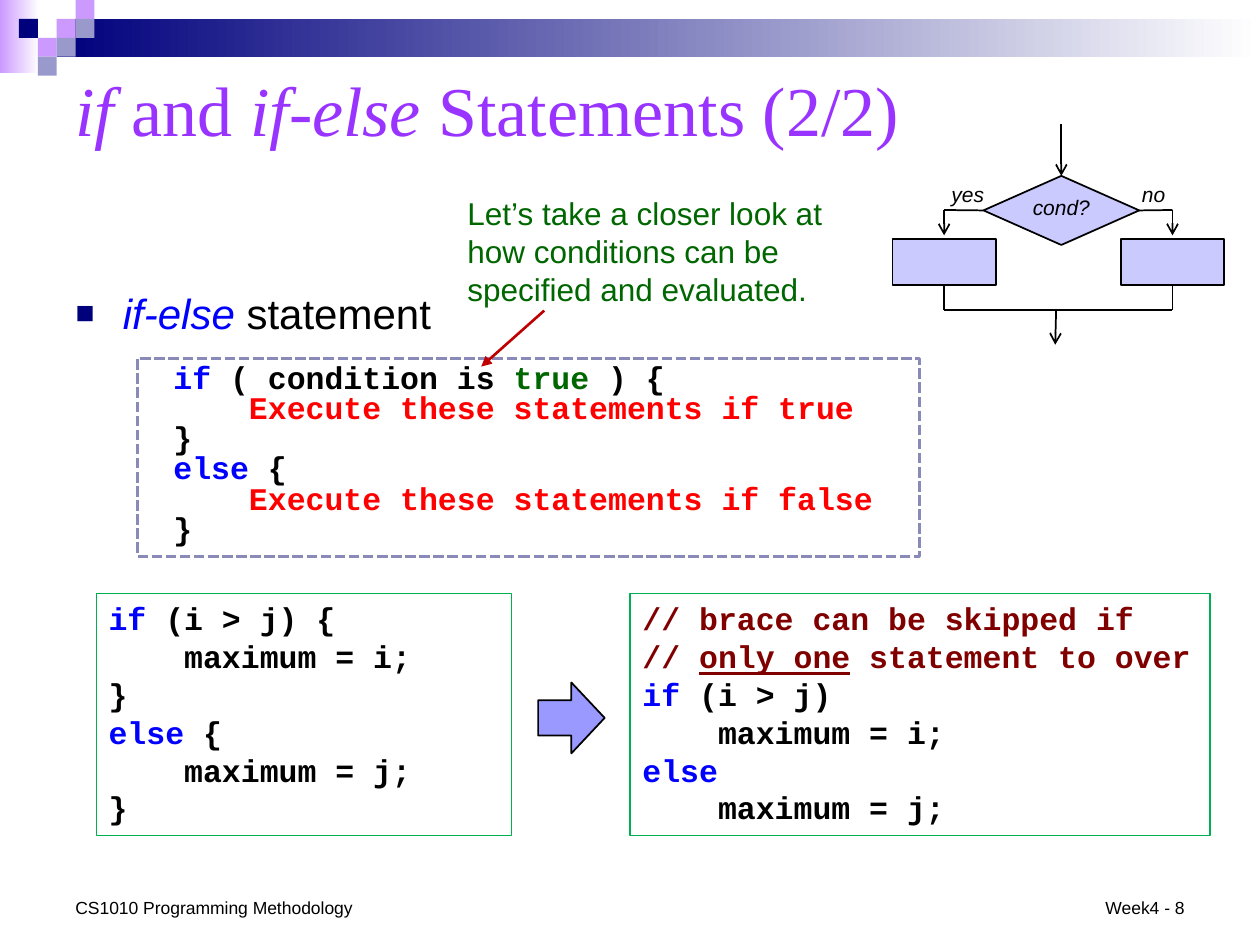
from lxml import etree
from pptx import Presentation
from pptx.dml.color import RGBColor
from pptx.enum import dml, shapes, text
from pptx.oxml import ns
from pptx.util import Pt

BLACK, BLUE, RED, GREEN, MAROON = "000000", "0000FF", "FF0000", "006600", "800000"
NAVY, LILAC, SLATE, PALE = "00007D", "CC99FF", "9999CC", "CACAFF"
SHAPE = shapes.MSO_SHAPE


def rgb(hex_colour):
    return RGBColor.from_string(hex_colour)


def sub(parent, tag, **attributes):
    return etree.SubElement(parent, ns.qn(tag), attributes)


def add_box(slide, kind, box, fill=None, line=None, weight=1):
    shape = slide.shapes.add_shape(kind, *map(Pt, box))
    shape.shadow.inherit = False
    if fill:
        shape.fill.solid()
        shape.fill.fore_color.rgb = rgb(fill)
    else:
        shape.fill.background()
    if line:
        shape.line.color.rgb = rgb(line)
        shape.line.width = Pt(weight)
    else:
        shape.line.fill.background()
    return shape


def add_line(slide, start, end, colour=BLACK, weight=1, head=None):
    line = slide.shapes.add_connector(
        shapes.MSO_CONNECTOR.STRAIGHT, *map(Pt, (*start, *end)))
    line.line.color.rgb = rgb(colour)
    line.line.width = Pt(weight)
    if head:
        sub(line.line._get_or_add_ln(), "a:tailEnd", type=head)
    sub(line._element.spPr, "a:effectLst")
    return line


def add_label(slide, box, words, size, colour=BLACK, italic=False,
              align=text.PP_ALIGN.LEFT, anchor=text.MSO_ANCHOR.TOP):
    frame = slide.shapes.add_textbox(*map(Pt, box)).text_frame
    frame.word_wrap = True
    frame.vertical_anchor = anchor
    paragraph = frame.paragraphs[0]
    paragraph.text = words
    paragraph.alignment = align
    font = paragraph.font
    font.name, font.size, font.italic = "Arial", Pt(size), italic
    font.color.rgb = rgb(colour)


def add_runs(paragraph, runs):
    for words, colour, *style in runs:
        run = paragraph.add_run()
        run.text = words
        run.font.color.rgb = rgb(colour)
        if "italic" in style:
            run.font.italic = True
        if "underline" in style:
            run.font.underline = True


def place(placeholder, box):
    placeholder.left, placeholder.top, placeholder.width, placeholder.height = map(Pt, box)
    frame = placeholder.text_frame
    frame.auto_size = text.MSO_AUTO_SIZE.NONE
    paragraph = frame.paragraphs[0]
    paragraph.alignment = text.PP_ALIGN.LEFT
    paragraph.space_before = Pt(0)
    return paragraph


def banner(slide, left, top, cell):
    bands = [((left, top, 22.5, 42), LILAC),
             ((left + 3 * cell, top + cell, 720 - 3 * cell, 2 * cell), NAVY)]
    for box, colour in bands:
        band = add_box(slide, SHAPE.RECTANGLE, box)
        band.fill.gradient()
        band.fill.gradient_angle = 0
        for stop, shade in zip(band.fill.gradient_stops, (colour, "FFFFFF")):
            stop.color.rgb = rgb(shade)
    squares = [(3, 1, LILAC), (4, 0, LILAC), (4, 1, SLATE), (2, 2, LILAC),
               (1, 1, NAVY), (3, 2, SLATE), (2, 3, SLATE)]
    for column, row, colour in squares:
        add_box(slide, SHAPE.RECTANGLE,
                (left + column * cell, top + row * cell, cell, cell), colour)


def heading(slide, box):
    title = place(slide.shapes.title, box)
    slide.shapes.title.text_frame.vertical_anchor = text.MSO_ANCHOR.MIDDLE
    title.font.name, title.font.size = "Times New Roman", Pt(40)
    violet = "9933FF"
    add_runs(title, [("if ", violet, "italic"), ("and ", violet),
                     ("if-else", violet, "italic"), (" Statements (2/2)", violet)])


def topic(slide, box):
    bullet = place(slide.placeholders[1], box)
    properties = bullet._p.get_or_add_pPr()
    properties.set("marL", str(Pt(27)))
    properties.set("indent", str(-Pt(27)))
    sub(sub(properties, "a:buClr"), "a:srgbClr", val=NAVY)
    sub(properties, "a:buSzPct", val="75000")
    sub(properties, "a:buFont", typeface="Arial")
    sub(properties, "a:buChar", char="■")
    bullet.font.name, bullet.font.size = "Arial", Pt(24)
    add_runs(bullet, [("if-else ", BLUE, "italic"), ("statement", BLACK)])


def code_box(slide, box, lines, border, weight=0.75, dash=None, indent=0, spacing=1.0):
    panel = add_box(slide, SHAPE.RECTANGLE, box, line=border, weight=weight)
    if dash:
        panel.line.dash_style = dash
    frame = panel.text_frame
    frame.word_wrap = True
    frame.vertical_anchor = text.MSO_ANCHOR.TOP
    for number, runs in enumerate(lines):
        paragraph = frame.add_paragraph() if number else frame.paragraphs[0]
        paragraph._p.get_or_add_pPr().set("marL", str(Pt(indent)))
        paragraph.alignment = text.PP_ALIGN.LEFT
        paragraph.line_spacing = spacing
        font = paragraph.font
        font.name, font.size, font.bold = "Courier New", Pt(18), True
        add_runs(paragraph, runs)


def callout(slide, left, top, width, height):
    add_label(slide, (left, top, width, height),
              "Let’s take a closer look at how conditions can be specified and evaluated.",
              18, GREEN)
    add_line(slide, (left + 51, top + 70), (left + 15, top + 102), "C00000", 1.5, "triangle")


def flowchart(slide, left, top):
    def at(x, y, *size):
        return (left + x, top + y, *size)

    middle, turn, merge = 96.5, 49, 106
    decision = add_box(slide, SHAPE.FLOWCHART_DECISION, at(52, 29.5, 89, 39.5), PALE, BLACK)
    entry = add_line(slide, at(middle, 0), at(middle, 29.5), head="arrow")
    entry.end_connect(decision, 0)
    branches = [(0, 1, "yes", (21, 29.5, 44, 21.5)), (130.5, 3, "no", (129.5, 29, 39.5, 21.5))]
    for x, side, answer, label_box in branches:
        centre = x + 29.5
        process = add_box(slide, SHAPE.FLOWCHART_PROCESS, at(x, 65.5, 59, 26.5), PALE, BLACK)
        out = add_line(slide, at(middle, turn), at(centre, turn))
        out.begin_connect(decision, side)
        add_line(slide, at(centre, turn), at(centre, 63.5), head="arrow")
        down = add_line(slide, at(centre, 92), at(centre, merge))
        down.begin_connect(process, 2)
        add_label(slide, at(*label_box), answer, 12, italic=True, align=text.PP_ALIGN.CENTER)
    add_line(slide, at(29.5, merge), at(160, merge))
    add_line(slide, at(93.5, merge), at(93, 126), head="arrow")
    add_label(slide, at(68.5, 36.5, 56, 21.5), "cond?", 12, italic=True,
              align=text.PP_ALIGN.CENTER)


def footer(slide, left, top, width, height):
    bottom = text.MSO_ANCHOR.BOTTOM
    add_label(slide, (left, top, 174, height), "CS1010 Programming Methodology", 10,
              anchor=bottom)
    add_label(slide, (left + width - 60.5, top, 60.5, height), "Week4 - 8", 10,
              align=text.PP_ALIGN.RIGHT, anchor=bottom)


def main():
    deck = Presentation()
    deck.slide_width, deck.slide_height = Pt(720), Pt(540)
    slide = deck.slides.add_slide(deck.slide_layouts[1])
    banner(slide, 0, 0, 10.8)
    heading(slide, (36, 30.5, 648, 63))
    topic(slide, (36, 160.5, 648, 44.5))

    syntax = [
        [("if", BLUE), (" ( condition is ", BLACK), ("true ", GREEN), (") {", BLACK)],
        [("    Execute these statements if true", RED)],
        [("}", BLACK)],
        [("else", BLUE), (" {", BLACK)],
        [("    Execute these statements if false", RED)],
        [("}", BLACK)]]
    code_box(slide, (78.5, 205, 447, 113), syntax, "8A8AB9", 2,
             dml.MSO_LINE.SQUARE_DOT, 13.5, 0.8)
    callout(slide, 260, 107.5, 223, 72)
    flowchart(slide, 510, 71)

    assign_i = [("    maximum = i;", BLACK)]
    assign_j = [("    maximum = j;", BLACK)]
    with_braces = [
        [("if", BLUE), (" (i > j) {", BLACK)], assign_i, [("}", BLACK)],
        [("else", BLUE), (" {", BLACK)], assign_j, [("}", BLACK)]]
    without_braces = [
        [("// brace can be skipped if", MAROON)],
        [("// ", MAROON), ("only one", MAROON, "underline"), (" statement to over", MAROON)],
        [("if", BLUE), (" (i > j)", BLACK)], assign_i, [("else", BLUE)], assign_j]
    code_box(slide, (55, 339, 237.5, 138.5), with_braces, "00B050")
    code_box(slide, (360, 339, 331.5, 138.5), without_braces, "00B050")
    add_box(slide, SHAPE.RIGHT_ARROW, (307.5, 390, 38, 40.5), "9999FF", BLACK)
    footer(slide, 36, 508.5, 648, 19.5)
    deck.save("out.pptx")


if __name__ == "__main__":
    main()
